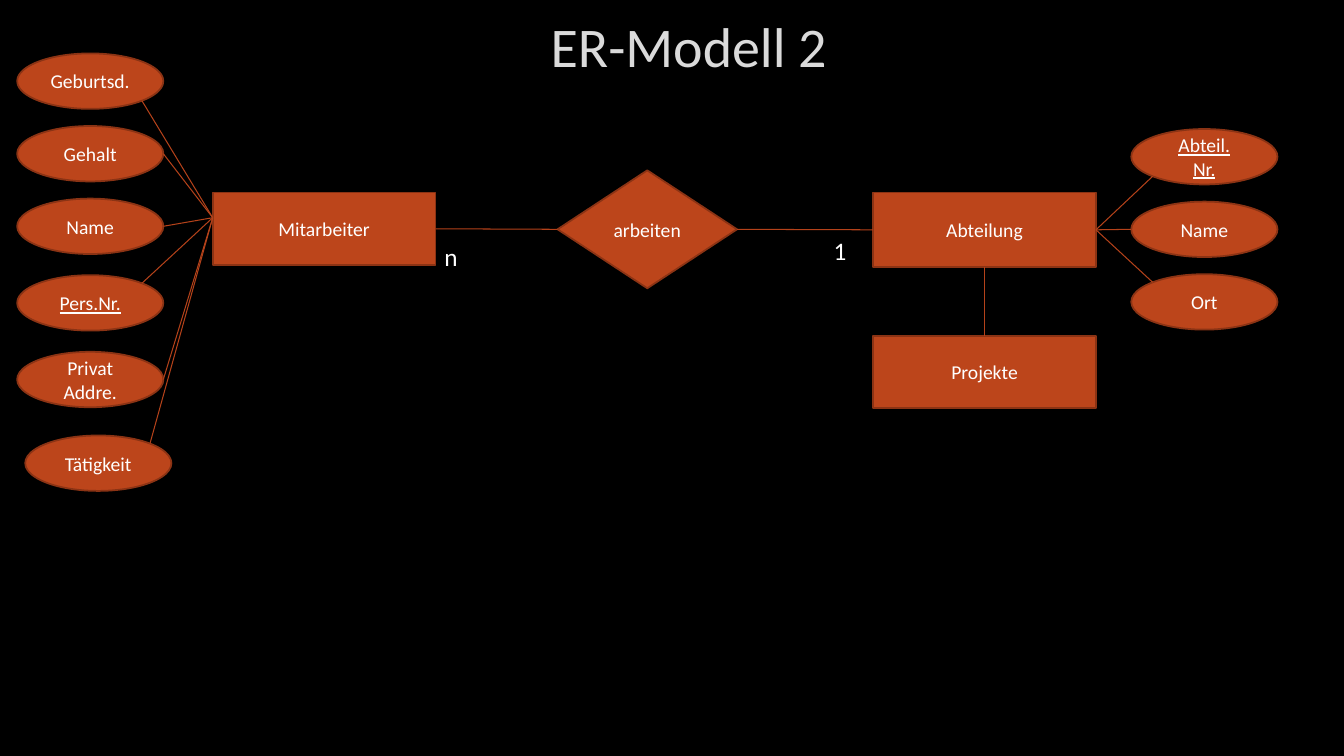
from math import sqrt
from pptx import Presentation
from pptx.dml.color import RGBColor
from pptx.enum import shapes, text
from pptx.oxml import ns, xmlchemy
from pptx.util import Inches, Pt

BLACK = RGBColor(0x00, 0x00, 0x00)
WHITE = RGBColor(0xFF, 0xFF, 0xFF)
TITLE_GREY = RGBColor(0xDA, 0xDA, 0xDA)
RUST = RGBColor(0xBC, 0x45, 0x1B)
DARK_RUST = RGBColor(0x8B, 0x33, 0x14)
LINE_RUST = RGBColor(0xB4, 0x42, 0x1A)

ELLIPSE_WIDTH, ELLIPSE_HEIGHT = 1.45, 0.55
BOX_WIDTH = 2.21

presentation = Presentation()
presentation.slide_width = Inches(13.33)
presentation.slide_height = Inches(7.5)
slide = presentation.slides.add_slide(presentation.slide_layouts[5])
slide.background.fill.solid()
slide.background.fill.fore_color.rgb = BLACK


def add_node(kind, label, left, top, width, height, underline=None):
    shape = slide.shapes.add_shape(kind, Inches(left), Inches(top), Inches(width), Inches(height))
    shape.shadow.inherit = False
    shape.fill.solid()
    shape.fill.fore_color.rgb = RUST
    shape.line.color.rgb = DARK_RUST
    shape.line.width = Pt(1.25)
    frame = shape.text_frame
    frame.vertical_anchor = text.MSO_ANCHOR.MIDDLE
    for index, words in enumerate(label.split("\n")):
        paragraph = frame.add_paragraph() if index else frame.paragraphs[0]
        paragraph.alignment = text.PP_ALIGN.CENTER
        run = paragraph.add_run()
        run.text = words
        run.font.name = "Calibri"
        run.font.size = Pt(14)
        run.font.color.rgb = WHITE
        run.font.underline = underline
    return shape


def add_line(start=(0, 0), end=(0, 0)):
    line = slide.shapes.add_connector(
        shapes.MSO_CONNECTOR.STRAIGHT, *[Inches(value) for value in (*start, *end)])
    line.line.color.rgb = LINE_RUST
    line.line.width = Pt(0.75)
    line._element.spPr.append(xmlchemy.OxmlElement("a:effectLst"))
    return line


title = slide.shapes.title
title.left, title.top, title.width, title.height = [Inches(value) for value in (5.18, 0, 3.3, 0.89)]
title.text_frame.vertical_anchor = text.MSO_ANCHOR.MIDDLE
title.text_frame.word_wrap = True
title_paragraph = title.text_frame.paragraphs[0]
title_paragraph.alignment = text.PP_ALIGN.CENTER
title_run = title_paragraph.add_run()
title_run.text = "ER-Modell 2"
title_run.font.name = "Calibri"
title_run.font.size = Pt(40)
title_run.font.color.rgb = TITLE_GREY

RECTANGLE = shapes.MSO_SHAPE.RECTANGLE
employee = add_node(RECTANGLE, "Mitarbeiter", 2.11, 1.91, BOX_WIDTH, 0.72)
works = add_node(shapes.MSO_SHAPE.DIAMOND, "arbeiten", 5.53, 1.69, 1.78, 1.17)
department = add_node(RECTANGLE, "Abteilung", 8.66, 1.91, BOX_WIDTH, 0.74)
projects = add_node(RECTANGLE, "Projekte", 8.66, 3.33, BOX_WIDTH, 0.72)

for first, first_site, second, second_site in [
    (employee, 3, works, 1),
    (works, 3, department, 1),
    (department, 2, projects, 0),
]:
    relation = add_line()
    relation.begin_connect(first, first_site)
    relation.end_connect(second, second_site)

DIAGONAL = sqrt(0.5)
RIGHT, LEFT = (1, 0), (-1, 0)
UPPER_RIGHT, LOWER_RIGHT = (DIAGONAL, -DIAGONAL), (DIAGONAL, DIAGONAL)
UPPER_LEFT, LOWER_LEFT = (-DIAGONAL, -DIAGONAL), (-DIAGONAL, DIAGONAL)

for label, left, top, direction, underline in [
    ("Geburtsd.", 0.17, 0.53, LOWER_RIGHT, None),
    ("Gehalt", 0.17, 1.25, RIGHT, None),
    ("Name", 0.17, 1.97, RIGHT, None),
    ("Pers.Nr.", 0.17, 2.73, UPPER_RIGHT, True),
    ("Privat\nAddre.", 0.17, 3.49, RIGHT, None),
    ("Tätigkeit", 0.25, 4.32, UPPER_RIGHT, None),
    ("Abteil.\nNr.", 11.22, 1.28, LOWER_LEFT, True),
    ("Name", 11.22, 2, LEFT, None),
    ("Ort", 11.22, 2.72, UPPER_LEFT, None),
]:
    add_node(shapes.MSO_SHAPE.OVAL, label, left, top, ELLIPSE_WIDTH, ELLIPSE_HEIGHT, underline)
    edge = (left + ELLIPSE_WIDTH / 2 * (1 + direction[0]),
            top + ELLIPSE_HEIGHT / 2 * (1 + direction[1]))
    link = add_line(edge, (2.11, 2.16))
    if direction[0] < 0:
        link.end_connect(department, 3)

for cardinality, left, top in [("n", 4.31, 2.34), ("1", 8.17, 2.29)]:
    box = slide.shapes.add_textbox(Inches(left), Inches(top), Inches(0.36), Inches(0.4))
    box.text_frame.word_wrap = True
    box.text_frame.auto_size = text.MSO_AUTO_SIZE.SHAPE_TO_FIT_TEXT
    run = box.text_frame.paragraphs[0].add_run()
    run.text = cardinality
    run.font.name = "Calibri"
    run.font.size = Pt(18)
    run.font.color.rgb = WHITE

presentation.save("out.pptx")
